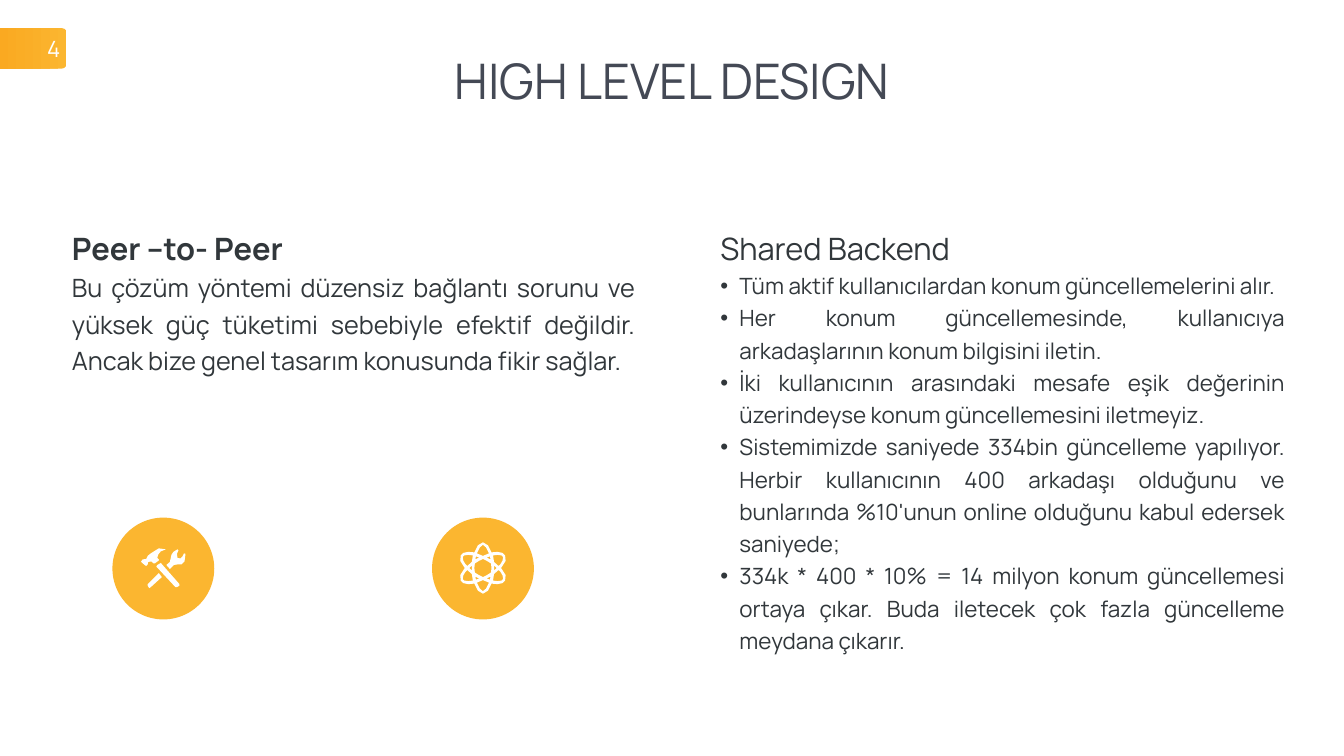
import pptx
import pptx.util
import pptx.oxml
import pptx.oxml.ns
from pptx.dml.color import RGBColor
from pptx.enum.shapes import MSO_SHAPE
from pptx.enum.text import MSO_ANCHOR, MSO_AUTO_SIZE, PP_ALIGN
from pptx.util import Inches, Pt

WHITE = RGBColor(0xFF, 0xFF, 0xFF)
AMBER = RGBColor(0xFB, 0xB6, 0x30)
ORANGE = RGBColor(0xF9, 0xA3, 0x1A)
SLATE = RGBColor(0x44, 0x49, 0x55)
INK = RGBColor(0x31, 0x37, 0x3B)
FONT = "Manrope"
BULLET_INDENT = 0.38

TITLE = "HIGH LEVEL DESIGN"
PAGE_NUMBER = "4"
COLUMNS = [
    {
        "box": (1.33, 4.51, 11.37, 4.14),
        "heading": "Peer –to- Peer",
        "bold": True,
        "size": 36,
        "bulleted": False,
        "body": [
            "Bu çözüm yöntemi düzensiz bağlantı sorunu ve yüksek güç tüketimi sebebiyle efektif değildir. "
            "Ancak bize genel tasarım konusunda fikir sağlar.",
        ],
    },
    {
        "box": (14.19, 4.51, 11.4, 9.19),
        "heading": "Shared Backend",
        "bold": False,
        "size": 32,
        "bulleted": True,
        "body": [
            "Tüm aktif kullanıcılardan konum güncellemelerini alır.",
            "Her konum güncellemesinde, kullanıcıya arkadaşlarının konum bilgisini iletin.",
            "İki kullanıcının arasındaki mesafe eşik değerinin üzerindeyse konum güncellemesini iletmeyiz.",
            "Sistemimizde saniyede 334bin güncelleme yapılıyor. Herbir kullanıcının 400 arkadaşı olduğunu ve "
            "bunlarında %10'unun online olduğunu kabul edersek saniyede;",
            "334k * 400 * 10% = 14 milyon konum güncellemesi ortaya çıkar. "
            "Buda iletecek çok fazla güncelleme meydana çıkarır.",
        ],
    },
]

CIRCLE_TOP, CIRCLE_SIZE = 10.27, 2.02
TOOLS_CIRCLE_LEFT, ATOM_CIRCLE_LEFT = 2.23, 8.57

TOOLS_ORIGIN = (2.8, 10.88)
TOOLS = [
    [(14, 27), (20, 26), (25, 30), (27, 30), (35, 24), (35, 22), (32, 19), (34, 12), (39, 6), (49, 2),
     (35, 0), (19, 10), (13, 15), (10, 21), (3, 22), (0, 26), (0, 27), (7, 33), (10, 35), (13, 32)],
    [(39, 29), (32, 33), (30, 36), (68, 77), (71, 77), (76, 74), (76, 71)],
    [(88, 11), (85, 10), (82, 16), (78, 20), (72, 19), (71, 11), (74, 4), (72, 2), (64, 7), (60, 13),
     (57, 27), (50, 33), (57, 41), (65, 33), (72, 32), (80, 32), (86, 26)],
    [(13, 71), (13, 74), (16, 79), (19, 77), (41, 57), (35, 49)],
]

ATOM_CENTER = (9.58, 11.27)
ATOM_OUTLINE_QUARTER = [(0, -51), (10, -45), (17, -31), (29, -32), (39, -30), (44, -25), (45, -14), (36, 0)]
ATOM_CORE_QUARTER = [(0, -18), (8, -14), (16, -9), (17, 0)]
ATOM_TOP_LOBE = [(0, -46), (6, -41), (12, -29), (0, -24), (-12, -29), (-6, -41)]
ATOM_SIDE_LOBE = [(29, -26), (37, -25), (40, -22), (39, -15), (35, -8), (31, -4), (22, -12), (20, -25)]
ATOM_UPPER_GAP = [(15, -17), (11, -19), (7, -21), (14, -23)]
ATOM_SIDE_GAP = [(22, -5), (27, 0), (22, 5)]


def mirror(points, x_sign, y_sign):
    return [(x * x_sign, y * y_sign) for x, y in points]


def full_outline(quarter):
    right = quarter + mirror(quarter[-2::-1], 1, -1)
    return right + mirror(right[-2:0:-1], -1, 1)


def atom_contours():
    contours = [full_outline(ATOM_OUTLINE_QUARTER), full_outline(ATOM_CORE_QUARTER)]
    for sign in (1, -1):
        contours.append(mirror(ATOM_TOP_LOBE, 1, sign))
        contours.append(mirror(ATOM_SIDE_GAP, sign, 1))
        for other in (1, -1):
            contours.append(mirror(ATOM_SIDE_LOBE, sign, other))
            contours.append(mirror(ATOM_UPPER_GAP, sign, other))
    return contours


def paint(shape, color):
    shape.shadow.inherit = False
    shape.fill.solid()
    shape.fill.fore_color.rgb = color
    shape.line.fill.background()


def add_circle(slide, left):
    circle = slide.shapes.add_shape(
        MSO_SHAPE.OVAL, Inches(left), Inches(CIRCLE_TOP), Inches(CIRCLE_SIZE), Inches(CIRCLE_SIZE))
    paint(circle, AMBER)


def add_icon(slide, origin, contours):
    placed = [[(Inches(origin[0] + x / 100), Inches(origin[1] + y / 100)) for x, y in contour]
              for contour in contours]
    builder = slide.shapes.build_freeform(*placed[0][0])
    for index, contour in enumerate(placed):
        if index:
            builder.move_to(*contour[0])
        builder.add_line_segments(contour[1:], close=True)
    paint(builder.convert_to_shape(), WHITE)


def add_text_box(slide, box):
    shape = slide.shapes.add_textbox(*map(Inches, box))
    shape.text_frame.word_wrap = True
    shape.text_frame.auto_size = MSO_AUTO_SIZE.SHAPE_TO_FIT_TEXT
    return shape.text_frame


def add_run(paragraph, text, size, color, alignment, bold=False):
    paragraph.alignment = alignment
    run = paragraph.add_run()
    run.text = text
    run.font.name = FONT
    run.font.size = Pt(size)
    run.font.bold = bold
    run.font.color.rgb = color


def add_bullet(paragraph):
    properties = paragraph._p.get_or_add_pPr()
    properties.set("marL", str(Inches(BULLET_INDENT)))
    properties.set("indent", str(-Inches(BULLET_INDENT)))
    namespace = pptx.oxml.ns.nsdecls("a")
    properties.append(pptx.oxml.parse_xml(f'<a:buFont {namespace} typeface="Arial"/>'))
    properties.append(pptx.oxml.parse_xml(f'<a:buChar {namespace} char="•"/>'))


def add_column(slide, column):
    frame = add_text_box(slide, column["box"])
    add_run(frame.paragraphs[0], column["heading"], 44, INK, PP_ALIGN.JUSTIFY, column["bold"])
    for text in column["body"]:
        paragraph = frame.add_paragraph()
        if column["bulleted"]:
            add_bullet(paragraph)
        paragraph.line_spacing = 1.2
        add_run(paragraph, text, column["size"], INK, PP_ALIGN.JUSTIFY)


def add_page_number(slide):
    tab = slide.shapes.add_shape(
        MSO_SHAPE.ROUNDED_RECTANGLE, Inches(-0.51), Inches(0.56), Inches(1.83), Inches(0.8))
    tab.adjustments[0] = 0.11
    paint(tab, AMBER)
    tab.fill.gradient()
    tab.fill.gradient_angle = 180
    for stop, color in zip(tab.fill.gradient_stops, (AMBER, ORANGE)):
        stop.color.rgb = color
    for stop, position in zip(tab.fill.gradient_stops, (0, 1)):
        stop.position = position
    tab.text_frame.vertical_anchor = MSO_ANCHOR.MIDDLE
    add_run(tab.text_frame.paragraphs[0], PAGE_NUMBER, 32, WHITE, PP_ALIGN.RIGHT)


def main():
    presentation = pptx.Presentation()
    presentation.slide_width = Inches(26.66)
    presentation.slide_height = Inches(15)
    slide = presentation.slides.add_slide(presentation.slide_layouts[6])

    add_circle(slide, ATOM_CIRCLE_LEFT)
    title = add_text_box(slide, (6.57, 0.96, 13.52, 1.31))
    add_run(title.paragraphs[0], TITLE, 70, SLATE, PP_ALIGN.CENTER)
    for column in COLUMNS:
        add_column(slide, column)
    add_page_number(slide)
    add_circle(slide, TOOLS_CIRCLE_LEFT)
    add_icon(slide, TOOLS_ORIGIN, TOOLS)
    add_icon(slide, ATOM_CENTER, atom_contours())

    presentation.save("out.pptx")


if __name__ == "__main__":
    main()
